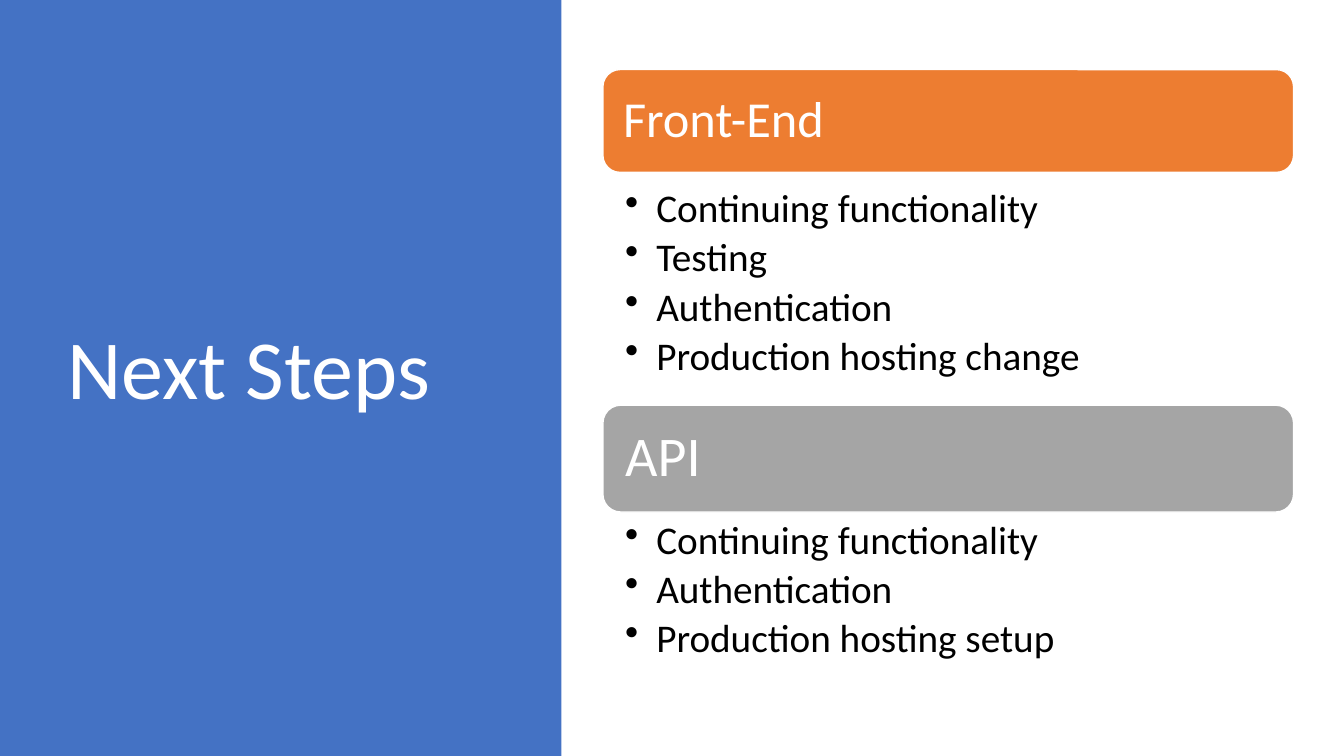
import pptx
import pptx.dml.color
import pptx.enum.shapes
import pptx.enum.text
import pptx.util
from lxml import etree

COLORS = {"panel": "4472C4", "front": "ED7D31", "api": "A5A5A5",
          "white": "FFFFFF", "black": "000000"}
KINDS = pptx.enum.shapes.MSO_SHAPE
MIDDLE = pptx.enum.text.MSO_ANCHOR.MIDDLE
TOP = pptx.enum.text.MSO_ANCHOR.TOP

prs = pptx.Presentation()
prs.slide_width = pptx.util.Inches(13.33)
prs.slide_height = pptx.util.Inches(7.5)
s = prs.slides.add_slide(prs.slide_layouts[6])


def add_box(x, y, w, h, kind=None, fill=None):
    box = [round(prs.slide_width * x / 100), round(prs.slide_height * y / 100),
           round(prs.slide_width * w / 100), round(prs.slide_height * h / 100)]
    if kind is None:
        return s.shapes.add_textbox(*box)
    sp = s.shapes.add_shape(kind, *box)
    sp.shadow.inherit = False
    sp.fill.solid()
    sp.fill.fore_color.rgb = pptx.dml.color.RGBColor.from_string(COLORS[fill])
    sp.line.fill.background()
    return sp


def set_text(sp, lines, size, color, anchor, inset_x, inset_y, after=0):
    tf = sp.text_frame
    tf.word_wrap = True
    tf.vertical_anchor = anchor
    tf.margin_left = tf.margin_right = pptx.util.Inches(inset_x)
    tf.margin_top = tf.margin_bottom = pptx.util.Inches(inset_y)
    tf.text = "\n".join(lines)
    for p in tf.paragraphs:
        p.alignment = pptx.enum.text.PP_ALIGN.LEFT
        p.line_spacing = 0.9
        p.space_after = pptx.util.Pt(after)
        for r in p.runs:
            r.font.name = "Calibri"
            r.font.size = pptx.util.Pt(size)
            r.font.color.rgb = pptx.dml.color.RGBColor.from_string(COLORS[color])
    return tf


add_box(0, 0, 41.78, 100, KINDS.RECTANGLE, "panel")
set_text(add_box(4.28, 9.07, 31.2, 80.27), ["Next Steps"], 60, "white", MIDDLE, 0.1, 0.05)

left, width = 44.86, 51.39
indent = pptx.util.Inches(0.31)
sections = [
    ("Front-End", "front", 36, 0.15, 9.2, 13.6, 24.4, 28,
     ["Continuing functionality", "Testing", "Authentication", "Production hosting change"]),
    ("API", "api", 40, 0.17, 53.6, 14.13, 68.27, 21.07,
     ["Continuing functionality", "Authentication", "Production hosting setup"]),
]

for name, color, size, inset, head_y, head_h, list_y, list_h, items in sections:
    head = add_box(left, head_y, width, head_h, KINDS.ROUNDED_RECTANGLE, color)
    head.line.color.rgb = pptx.dml.color.RGBColor.from_string(COLORS["white"])
    head.line.width = pptx.util.Pt(1)
    set_text(head, [name], size, "white", MIDDLE, inset, inset)

    tf = set_text(add_box(left, list_y, width, list_h), items, 28, "black", TOP, 0.22, 0.04, 5)
    for p in tf.paragraphs:
        p.level = 1
        pPr = p._p.get_or_add_pPr()
        pPr.set("marL", str(indent))
        pPr.set("indent", str(-indent))
        bullet = etree.SubElement(pPr, pptx.oxml.ns.qn("a:buChar"))
        bullet.set("char", "•")

prs.save("out.pptx")
